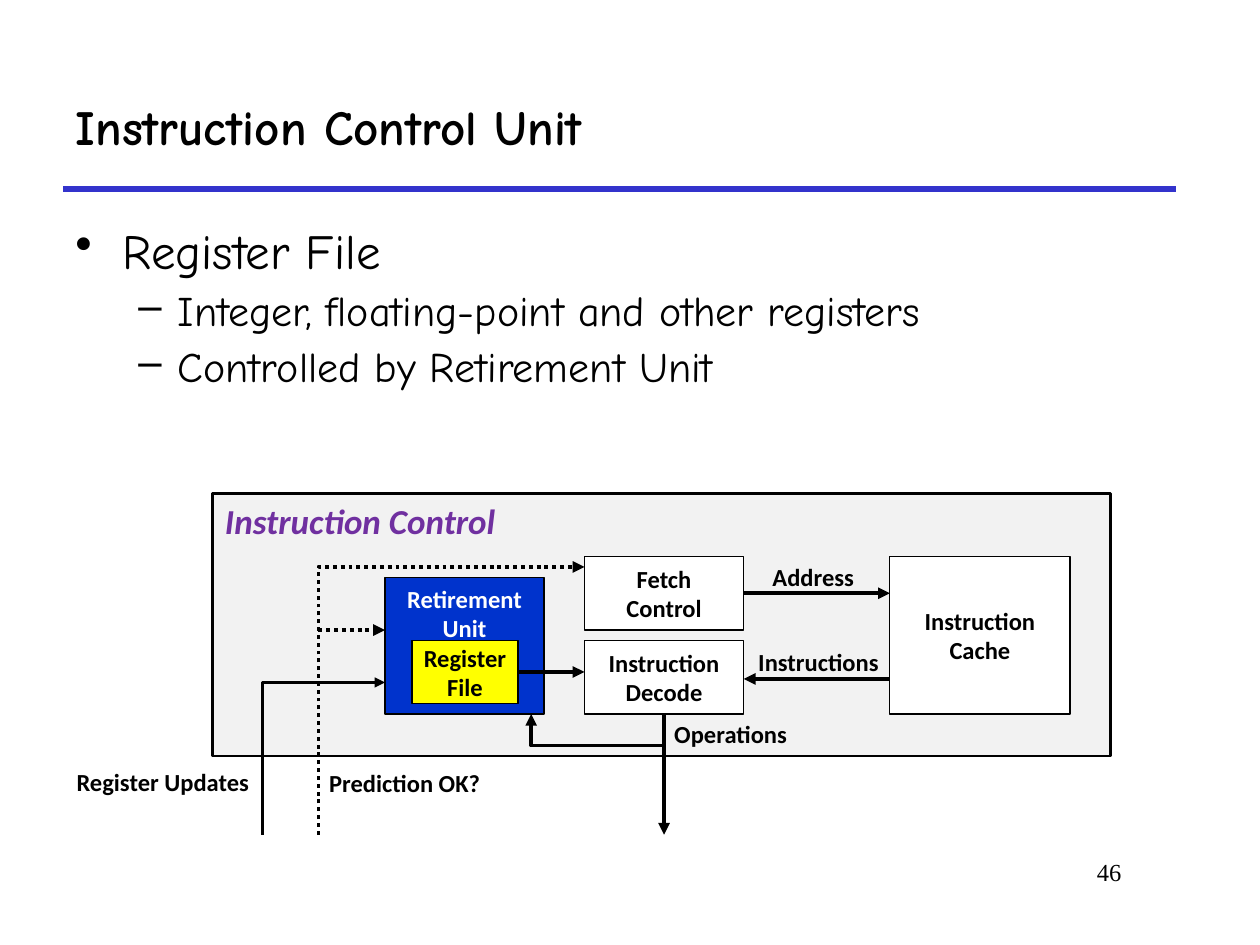
from dataclasses import dataclass
from typing import NamedTuple

from lxml import etree
from pptx import Presentation
from pptx import util as u
from pptx.dml.color import RGBColor
from pptx.enum import dml, shapes, text
from pptx.oxml.ns import qn


@dataclass(frozen=True)
class Theme:
    black: str = "000000"
    white: str = "FFFFFF"
    panel: str = "F2F2F2"
    rule: str = "3333CC"
    purple: str = "7030A0"
    blue: str = "0033CC"
    yellow: str = "FFFF00"
    hand: str = "Comic Neue"
    plain: str = "Calibri"
    serif: str = "Times New Roman"
    title_size: float = 28
    bullet_size: float = 28
    sub_size: float = 24
    panel_size: float = 20
    label_size: float = 14


THEME = Theme()
LEFT, CENTER, RIGHT = text.PP_ALIGN.LEFT, text.PP_ALIGN.CENTER, text.PP_ALIGN.RIGHT
TOP, MIDDLE = text.MSO_ANCHOR.TOP, text.MSO_ANCHOR.MIDDLE


class Area(NamedTuple):
    left: float
    top: float
    width: float
    height: float

    def lengths(self) -> list[u.Length]:
        return [u.Pt(value) for value in self]


@dataclass(frozen=True)
class Style:
    size: float = THEME.label_size
    font: str = THEME.plain
    color: str = THEME.black
    bold: bool = True
    italic: bool = False


@dataclass(frozen=True)
class Block:
    words: str
    area: Area
    fill: str = THEME.white
    border: float = 0.75
    style: Style = Style()
    align: text.PP_ALIGN = CENTER
    anchor: text.MSO_ANCHOR = MIDDLE


@dataclass(frozen=True)
class Label:
    words: str
    area: Area
    align: text.PP_ALIGN = CENTER
    style: Style = Style()


@dataclass(frozen=True)
class Wire:
    points: tuple[tuple[float, float], ...]
    width: float = 2.25
    dotted: bool = False
    color: str = THEME.black
    arrow: bool = True


@dataclass(frozen=True)
class Bullet:
    words: str
    level: int
    mark: str
    margin: float
    hang: float
    size: float
    before: float


BLOCKS = [
    Block("Instruction Control", Area(121.5, 282, 513, 150), THEME.panel, 1.5,
          Style(THEME.panel_size, color=THEME.purple, italic=True), LEFT, TOP),
    Block("Instruction\nCache", Area(508.5, 318, 103, 90)),
    Block("Fetch\nControl", Area(334, 318, 91, 42)),
    Block("Instruction\nDecode", Area(334, 366, 91, 42)),
    Block("Retirement\nUnit", Area(220, 330, 91, 78), THEME.blue,
          style=Style(color=THEME.white), anchor=TOP),
    Block("Register\nFile", Area(235.5, 366, 60.5, 36), THEME.yellow),
]

WIRES = [
    Wire(((36, 108), (672, 108)), 3, color=THEME.rule, arrow=False),
    Wire(((425, 339), (508.5, 339))),
    Wire(((508.5, 388), (425, 388))),
    Wire(((379.5, 408), (379.5, 477))),
    Wire(((182, 477), (182, 324), (334, 324)), dotted=True),
    Wire(((182, 360), (220, 360)), dotted=True),
    Wire(((150, 477), (150, 390), (220, 390)), 1.5),
    Wire(((296, 384), (334, 384))),
    Wire(((379.5, 426), (303.5, 426), (303.5, 408))),
]

LABELS = [
    Label("Address", Area(434, 317.5, 61.5, 24.5)),
    Label("Instructions", Area(426, 366, 83.5, 24.5)),
    Label("Operations", Area(378, 407.5, 79, 24.5)),
    Label("Prediction OK?", Area(181, 435.5, 101, 24.5), LEFT),
    Label("Register Updates", Area(36, 435, 113.5, 24.5), RIGHT),
    Label("46", Area(546, 486, 102, 36), RIGHT, Style(font=THEME.serif, bold=False)),
]

BULLETS = [
    Bullet("Register File", 0, "•", 27, 27, THEME.bullet_size, 0),
    Bullet("Integer, floating-point and other registers", 1, "–", 58.5, 22.5, THEME.sub_size, 6),
    Bullet("Controlled by Retirement Unit", 1, "–", 58.5, 22.5, THEME.sub_size, 6),
]


def format_para(para, style: Style, align: text.PP_ALIGN) -> None:
    para.alignment = align
    for span in para.runs:
        font = span.font
        font.size, font.name = u.Pt(style.size), style.font
        font.bold, font.italic = style.bold, style.italic
        font.color.rgb = RGBColor.from_string(style.color)


def write(frame, words: str, style: Style, align: text.PP_ALIGN, anchor: text.MSO_ANCHOR) -> None:
    frame.text = words
    frame.vertical_anchor = anchor
    for para in frame.paragraphs:
        format_para(para, style, align)


def draw_title(page) -> None:
    title = page.shapes.title
    title.left, title.top, title.width, title.height = Area(36, 36, 636, 72).lengths()
    write(title.text_frame, "Instruction Control Unit",
          Style(THEME.title_size, THEME.hand), LEFT, MIDDLE)


def draw_bullets(page, bullets: list[Bullet]) -> None:
    frame = page.shapes.add_textbox(*Area(36, 126, 654, 348).lengths()).text_frame
    frame.word_wrap = True
    frame.text = "\n".join(bullet.words for bullet in bullets)
    for para, bullet in zip(frame.paragraphs, bullets):
        para.level = bullet.level
        para.line_spacing = 0.9
        para.space_before = u.Pt(bullet.before)
        properties = para._p.get_or_add_pPr()
        properties.set("marL", str(u.Pt(bullet.margin)))
        properties.set("indent", str(-u.Pt(bullet.hang)))
        etree.SubElement(properties, qn("a:buChar"), char=bullet.mark)
        format_para(para, Style(bullet.size, THEME.hand, bold=False), LEFT)


def draw_block(page, block: Block) -> None:
    box = page.shapes.add_shape(shapes.MSO_SHAPE.RECTANGLE, *block.area.lengths())
    box.shadow.inherit = False
    box.fill.solid()
    box.fill.fore_color.rgb = RGBColor.from_string(block.fill)
    box.line.color.rgb = RGBColor.from_string(THEME.black)
    box.line.width = u.Pt(block.border)
    box.text_frame.word_wrap = False
    write(box.text_frame, block.words, block.style, block.align, block.anchor)


def draw_label(page, label: Label) -> None:
    box = page.shapes.add_textbox(*label.area.lengths())
    box.text_frame.word_wrap = False
    write(box.text_frame, label.words, label.style, label.align, TOP)


def draw_wire(page, wire: Wire) -> None:
    points = [(u.Pt(x), u.Pt(y)) for x, y in wire.points]
    if len(points) == 2:
        path = page.shapes.add_connector(shapes.MSO_CONNECTOR.STRAIGHT, *points[0], *points[1])
    else:
        builder = page.shapes.build_freeform(*points[0])
        builder.add_line_segments(points[1:], close=False)
        path = builder.convert_to_shape()
        path.fill.background()
    path.line.color.rgb = RGBColor.from_string(wire.color)
    path.line.width = u.Pt(wire.width)
    if wire.dotted:
        path.line.dash_style = dml.MSO_LINE.ROUND_DOT
    if wire.arrow:
        etree.SubElement(path.line._get_or_add_ln(), qn("a:tailEnd"), type="triangle")
    etree.SubElement(path._element.spPr, qn("a:effectLst"))


def main() -> None:
    deck = Presentation()
    deck.slide_width, deck.slide_height = u.Pt(720), u.Pt(540)
    page = deck.slides.add_slide(deck.slide_layouts.get_by_name("Title Only"))
    draw_title(page)
    draw_bullets(page, BULLETS)
    for block in BLOCKS:
        draw_block(page, block)
    for wire in WIRES:
        draw_wire(page, wire)
    for label in LABELS:
        draw_label(page, label)
    deck.save("out.pptx")


if __name__ == "__main__":
    main()
